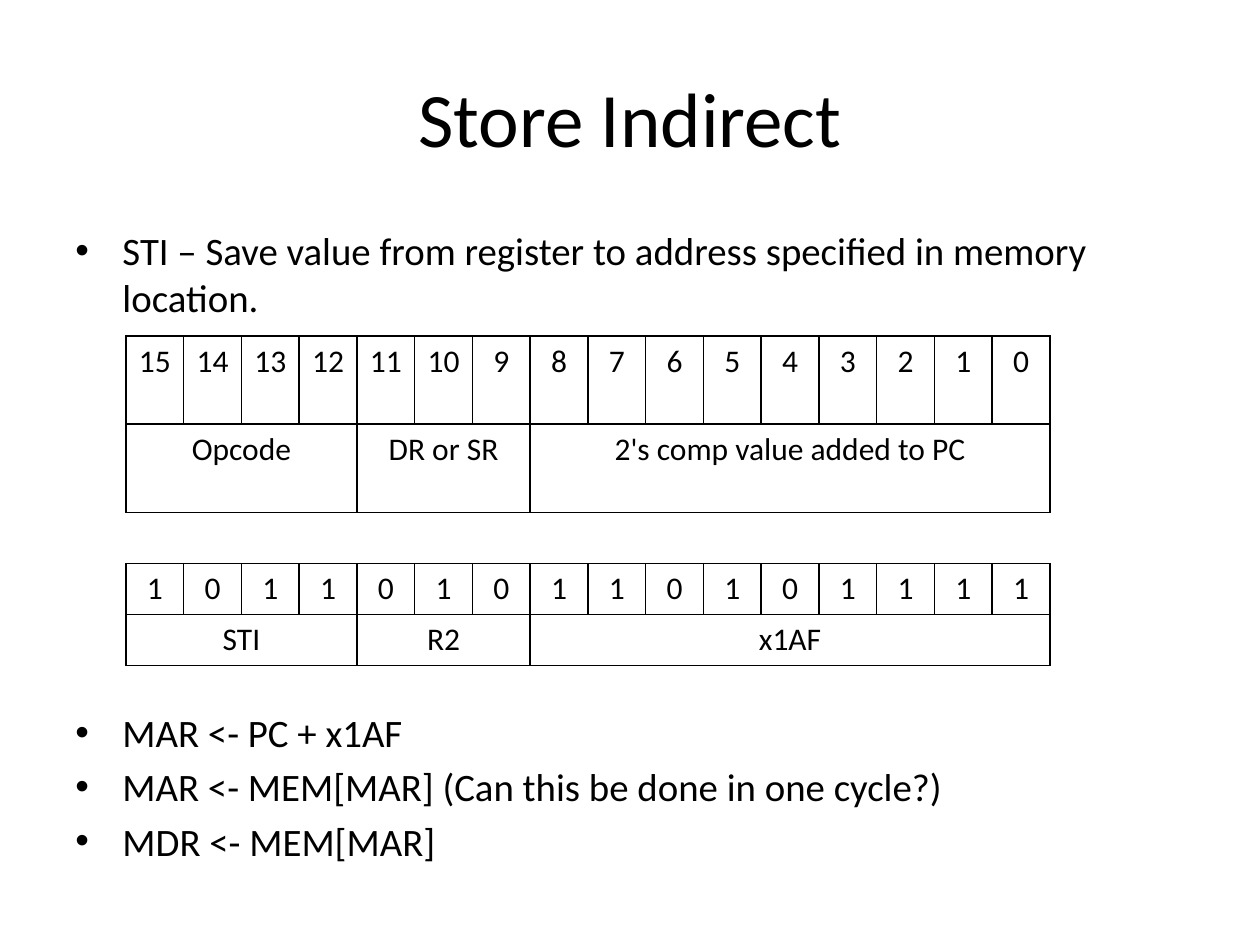
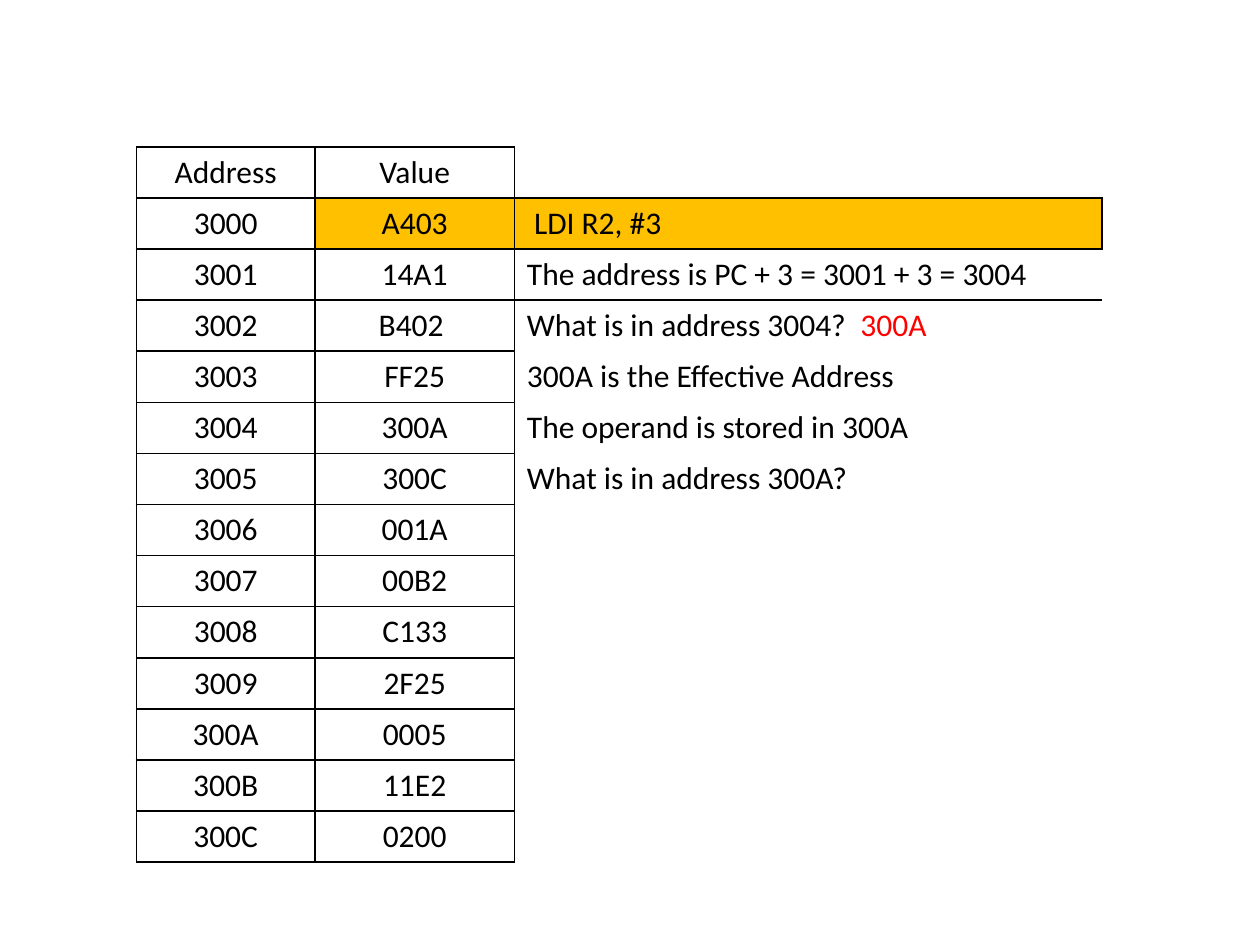
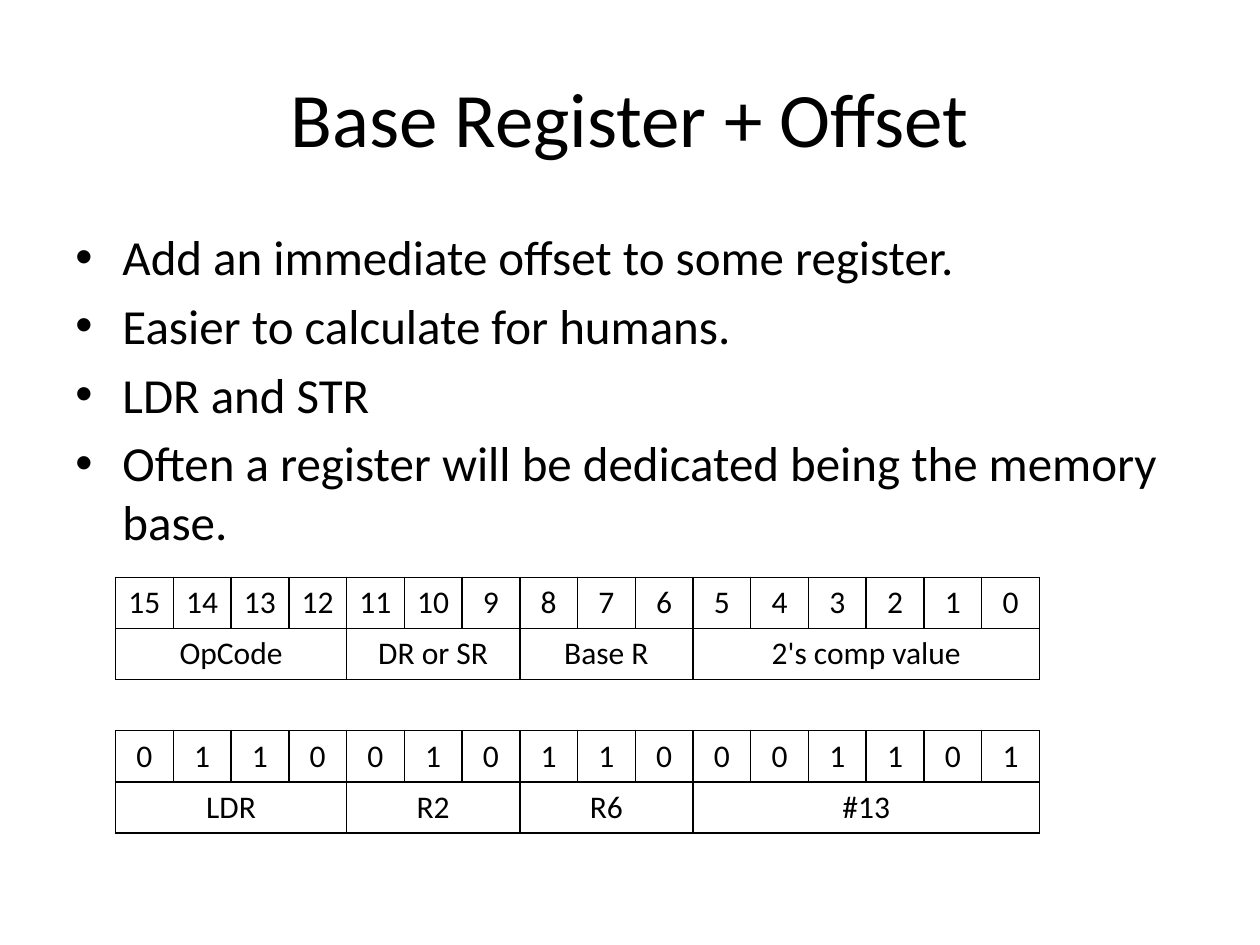
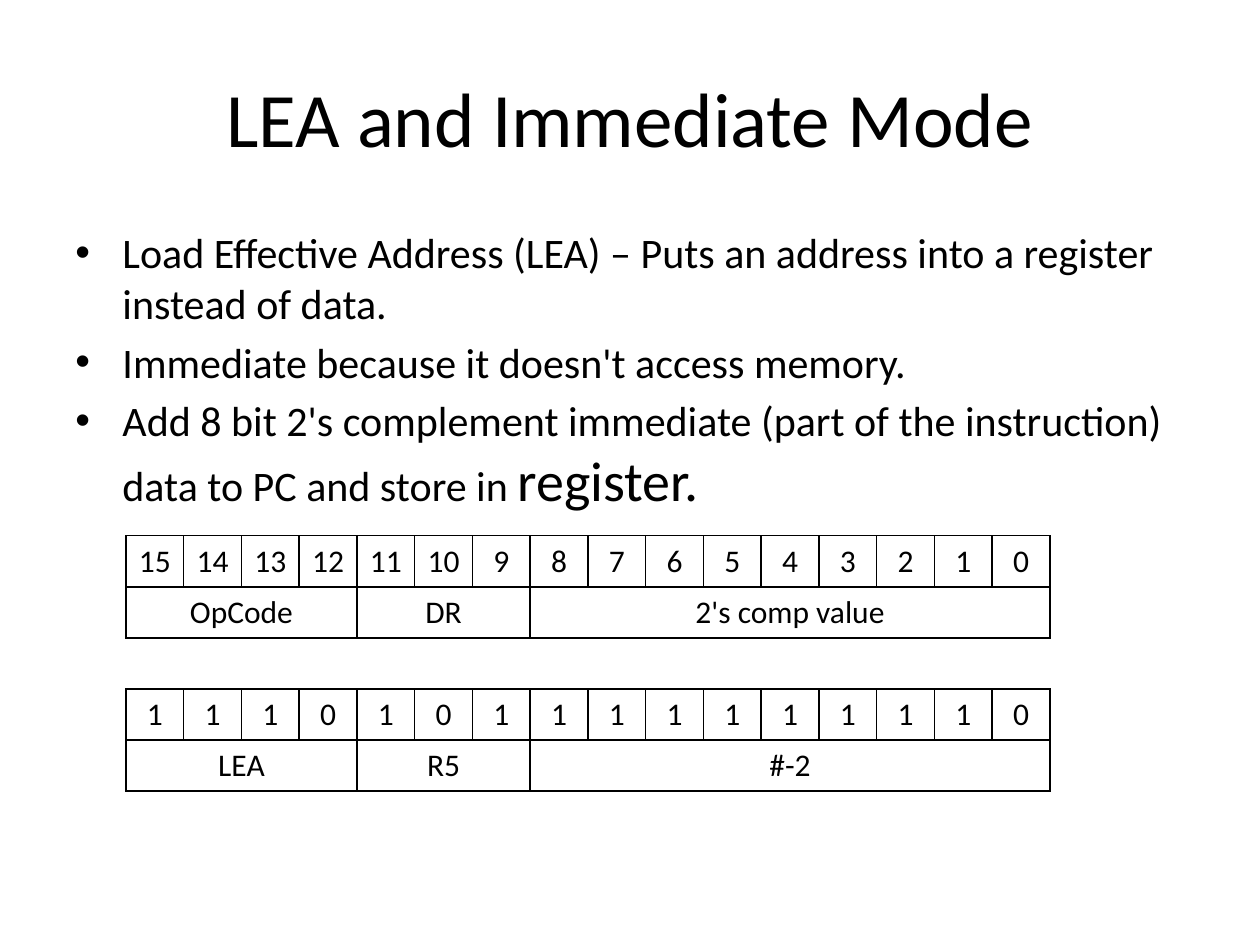
"""Build four slides of bullet lists, bit tables and a memory table."""
from lxml.etree import SubElement
from pptx import Presentation
from pptx.dml.color import RGBColor
from pptx.enum.text import MSO_ANCHOR, PP_ALIGN
from pptx.oxml.ns import qn
from pptx.util import Cm, Pt

FONT = "Calibri"
HUES = {"ink": "000000", "mark": "FFC000", "alert": "FF0000"}
PLAIN = "{2D5ABB26-0587-4C30-8999-92F81FD0307C}"
ROW = 1.03
TALL = 1.78
WIDE = 18.63
BITS = [str(n) for n in range(15, -1, -1)]

STORE = {
    "title": "Store Indirect",
    "size": 22.2,
    "points": [
        "STI – Save value from register to address specified in memory location.",
        "MAR <- PC + x1AF",
        "MAR <- MEM[MAR] (Can this be done in one cycle?)",
        "MDR <- MEM[MAR]",
    ],
    "gaps": {1: 222},
    "at": (2.54, 6.77),
    "rows": [TALL, TALL, ROW, ROW, ROW],
    "spans": [4, 3, 9],
    "names": ["Opcode", "DR or SR", "2's comp value added to PC"],
    "code": "1011010110101111",
    "parts": ["STI", "R2", "x1AF"],
}
BASE = {
    "title": "Base Register + Offset",
    "size": 28,
    "points": [
        "Add an immediate offset to some register.",
        "Easier to calculate for humans.",
        "LDR and STR",
        "Often a register will be dedicated being the memory base.",
    ],
    "gaps": {},
    "at": (2.33, 11.64),
    "rows": [ROW] * 5,
    "spans": [4, 3, 3, 6],
    "names": ["OpCode", "DR or SR", "Base R", "2's comp value"],
    "code": "0110010110001101",
    "parts": ["LDR", "R2", "R6", "#13"],
}
LEA = {
    "title": "LEA and Immediate Mode",
    "size": 24,
    "points": [
        "Load Effective Address (LEA) – Puts an address into a register instead of data.",
        "Immediate because it doesn't access memory.",
        [("Add 8 bit 2's complement immediate (part of the instruction) "
          "data to PC and store in ", {}), ("register.", {"size": 32})],
    ],
    "gaps": {},
    "at": (2.54, 10.8),
    "rows": [ROW] * 5,
    "spans": [4, 3, 9],
    "names": ["OpCode", "DR", "2's comp value"],
    "code": "1110101111111110",
    "parts": ["LEA", "R5", "#-2"],
}
MEMORY = [
    ("Address", "Value"), ("3000", "A403"), ("3001", "14A1"), ("3002", "B402 "),
    ("3003", "FF25"), ("3004", "300A"), ("3005", "300C"), ("3006", "001A"),
    ("3007", "00B2"), ("3008", "C133"), ("3009", "2F25"), ("300A", "0005"),
    ("300B", "11E2"), ("300C", "0200"),
]
STEPS = {
    1: " LDI R2, #3",
    2: "The address is PC + 3 = 3001 + 3 = 3004",
    3: [("What is in address 3004?  ", {}), ("300A", {"hue": "alert"})],
    4: "300A is the Effective Address",
    5: "The operand is stored in 300A",
    6: "What is in address 300A?",
}
EDGES = {0: "LB", 1: "LRTB", 2: "LTB", 3: "LT"}


def write(para, text, size=18, align=PP_ALIGN.LEFT):
    """Put a string or a list of styled runs in a paragraph."""
    para.alignment = align
    for words, look in [(text, {})] if isinstance(text, str) else text:
        run = para.add_run()
        run.text = words
        run.font.name = FONT
        run.font.size = Pt(look.get("size", size))
        run.font.color.rgb = RGBColor.from_string(HUES[look.get("hue", "ink")])


def edge(cell, sides="LRTB"):
    """Draw the named sides of a cell and clear the others."""
    props = cell._tc.get_or_add_tcPr()
    for i, side in enumerate("LRTB"):
        line = SubElement(props, qn("a:ln" + side), w=str(Pt(1)))
        if side in sides:
            fill = SubElement(line, qn("a:solidFill"))
            SubElement(fill, qn("a:srgbClr"), val=HUES["ink"])
        else:
            SubElement(line, qn("a:noFill"))
        props.insert(i, line)


def grid(slide, at, cols, rows):
    """Add a plain table with the given column widths and row heights."""
    table = slide.shapes.add_table(
        len(rows), len(cols), Cm(at[0]), Cm(at[1]), Cm(sum(cols)), Cm(sum(rows))).table
    table.first_row = table.horz_banding = False
    table._tbl.tblPr.find(qn("a:tableStyleId")).text = PLAIN
    for col, width in zip(table.columns, cols):
        col.width = Cm(width)
    for row, height in zip(table.rows, rows):
        row.height = Cm(height)
    for cell in table.iter_cells():
        cell.fill.background()
    return table


def put(cell, text, align=PP_ALIGN.CENTER):
    """Write text in a table cell."""
    write(cell.text_frame.paragraphs[0], text, align=align)


def head(slide, text):
    """Place and format the slide title."""
    title = slide.shapes.title
    title.left, title.top, title.width, title.height = Cm(1.27), Cm(0.76), Cm(22.86), Cm(3.18)
    title.text_frame.vertical_anchor = MSO_ANCHOR.MIDDLE
    write(title.text_frame.paragraphs[0], text, 44, PP_ALIGN.CENTER)


def listing(slide, points, size, gaps):
    """Add the bullet list, with wider gaps where asked."""
    frame = slide.shapes.add_textbox(Cm(1.27), Cm(4.45), Cm(22.86), Cm(12.7)).text_frame
    frame.word_wrap = True
    for i, text in enumerate(points):
        para = frame.add_paragraph() if i else frame.paragraphs[0]
        write(para, text, size)
        para.space_before = Pt(gaps.get(i, round(size * 0.2, 1)))
        props = para._p.get_or_add_pPr()
        props.set("marL", str(Cm(0.95)))
        props.set("indent", str(-Cm(0.95)))
        SubElement(props, qn("a:buFont"), typeface="Arial")
        SubElement(props, qn("a:buChar"), char="•")


def layout(slide, data):
    """Add the bit table: format above, example below."""
    table = grid(slide, data["at"], [WIDE / 16] * 16, data["rows"])
    for top, bits, names in ((0, BITS, data["names"]), (3, data["code"], data["parts"])):
        for col, bit in enumerate(bits):
            put(table.cell(top, col), bit)
        col = 0
        for span, name in zip(data["spans"], names):
            cell = table.cell(top + 1, col)
            cell.merge(table.cell(top + 1, col + span - 1))
            put(cell, name)
            col += span
    for i, row in enumerate(table.rows):
        for cell in row.cells:
            edge(cell, "TB" if i == 2 else "LRTB")


def lesson(deck, data):
    """Add a slide with title, bullets and bit table."""
    slide = deck.slides.add_slide(deck.slide_layouts[5])
    head(slide, data["title"])
    listing(slide, data["points"], data["size"], data["gaps"])
    layout(slide, data)


def memory(deck):
    """Add the slide of addresses and values."""
    slide = deck.slides.add_slide(deck.slide_layouts[6])
    table = grid(slide, (2.75, 2.96), [3.6, 4.02, 11.85], [ROW] * len(MEMORY))
    for i, pair in enumerate(MEMORY):
        for col, text in enumerate(pair):
            put(table.cell(i, col), text)
            edge(table.cell(i, col))
        note = table.cell(i, 2)
        if i in STEPS:
            put(note, STEPS[i], PP_ALIGN.LEFT)
        edge(note, EDGES.get(i, "L"))
    for col in (1, 2):
        fill = table.cell(1, col).fill
        fill.solid()
        fill.fore_color.rgb = RGBColor.from_string(HUES["mark"])


deck = Presentation()
deck.slide_width, deck.slide_height = Cm(25.4), Cm(19.05)
lesson(deck, STORE)
memory(deck)
lesson(deck, BASE)
lesson(deck, LEA)
deck.save("out.pptx")
